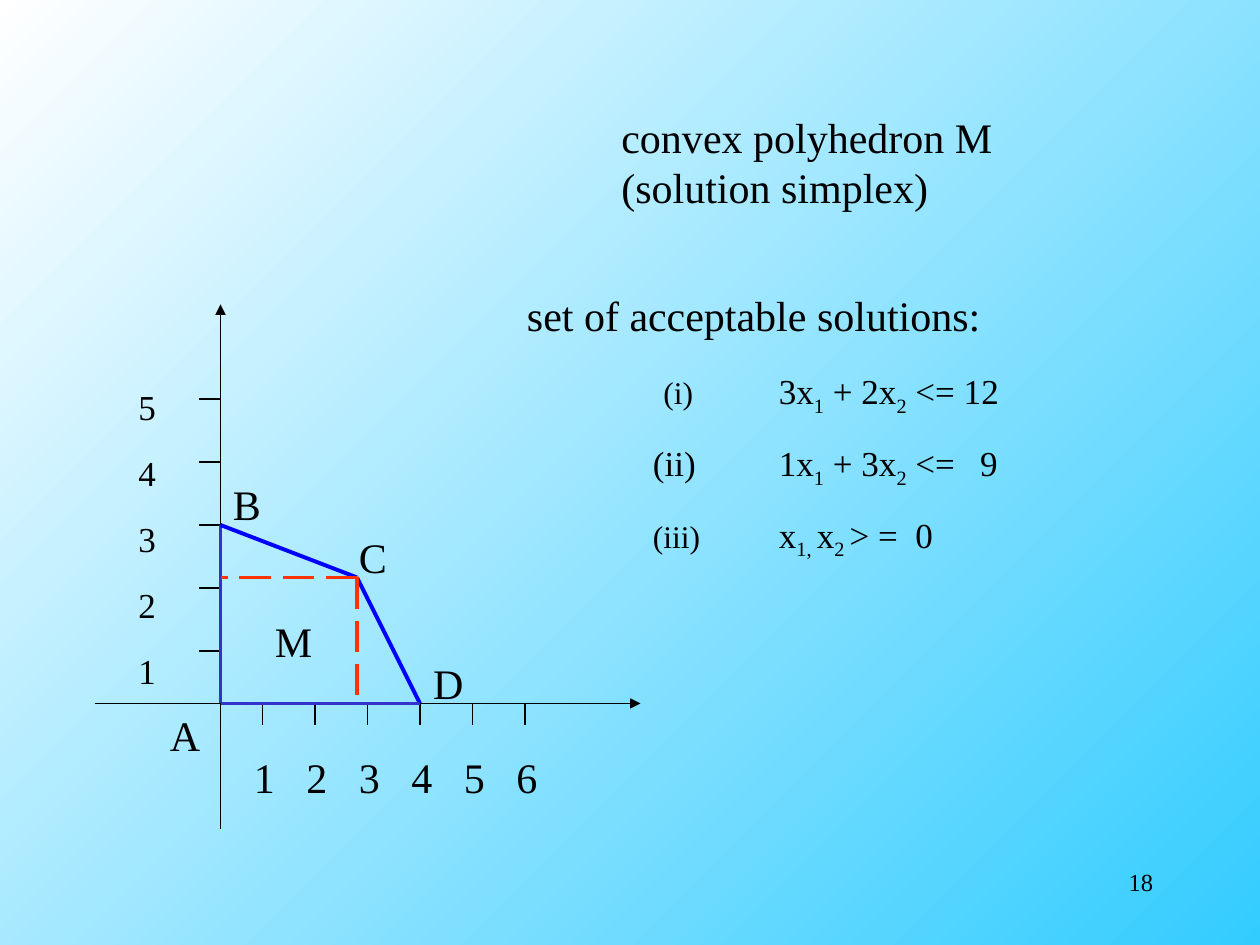
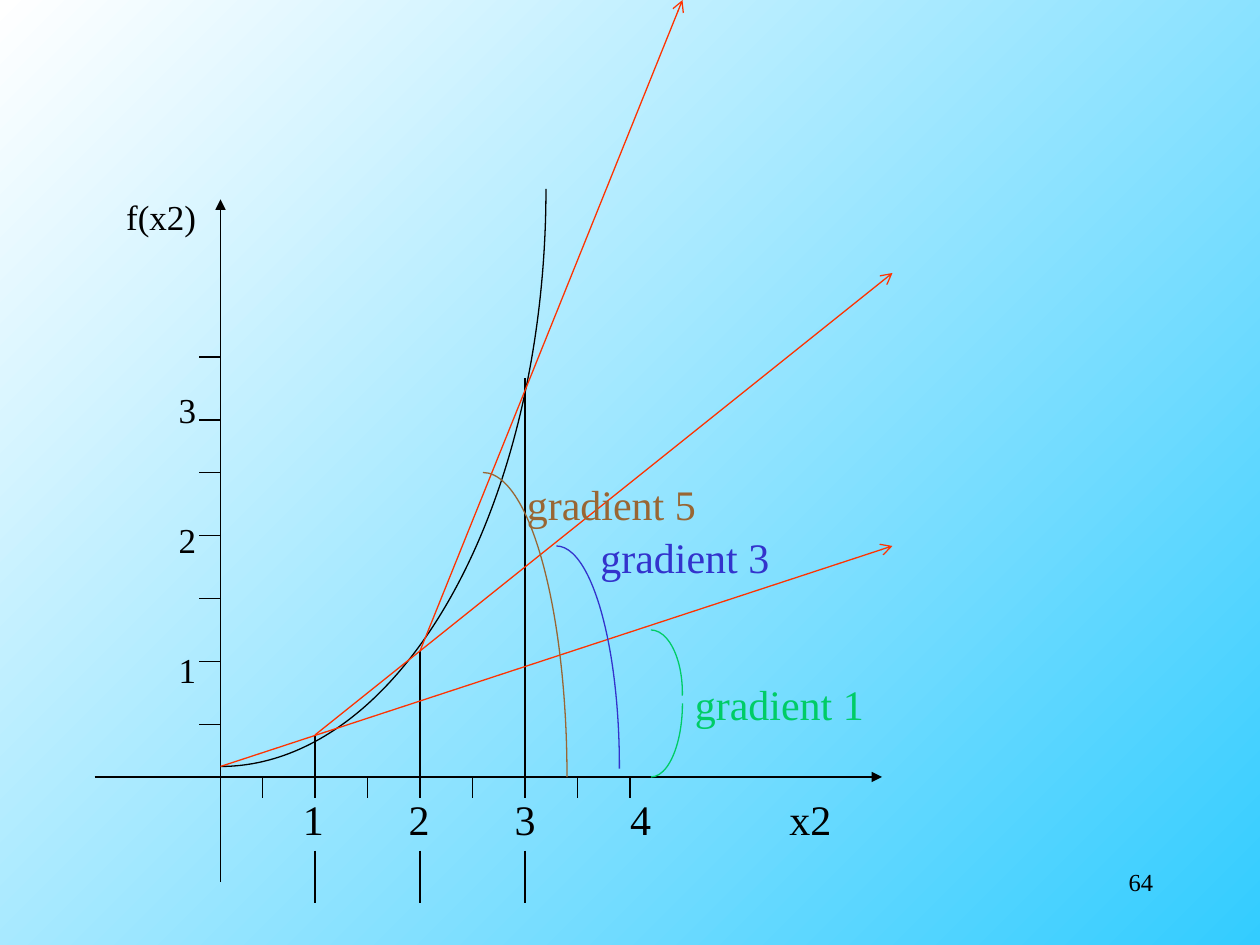
from dataclasses import dataclass

from pptx import Presentation
from pptx.dml.color import RGBColor
from pptx.enum import dml, shapes, text
from pptx.oxml import ns, xmlchemy
from pptx.util import Pt

FONT = "Times New Roman"
BLACK, RED, GREEN, BROWN = "000000", "FF3300", "00CC66", "996633"
BLUE, EDGE_BLUE = "3333CC", "0000FF"
SKY, WHITE = "33CCFF", "FFFFFF"
TICK = 12
LABEL_SIZE, BODY_SIZE, MARK_SIZE = 24, 20, 18
LIST_GAP = 13.6


def color(hex_value):
    return RGBColor.from_string(hex_value)


# Text helpers
def write_runs(paragraph, value, size, hex_color):
    """Write text in which the parts between tildes are subscripts."""
    for index, part in enumerate(value.split("~")):
        if not part:
            continue
        run = paragraph.add_run()
        run.text = part
        run.font.name = FONT
        run.font.size = Pt(size)
        run.font.color.rgb = color(hex_color)
        if index % 2:
            run._r.get_or_add_rPr().set("baseline", "-25000")


def write_text(frame, value, size=LABEL_SIZE, hex_color=BLACK, align=None,
               before=0, tabs=(), mark="", mark_size=BODY_SIZE):
    """Add one paragraph, with an optional mark set in its own size."""
    first = frame.paragraphs[0]
    paragraph = frame.add_paragraph() if first.runs else first
    if tabs:
        tab_list = xmlchemy.OxmlElement("a:tabLst")
        for position in tabs:
            tab = xmlchemy.OxmlElement("a:tab")
            tab.set("pos", str(int(Pt(position))))
            tab.set("algn", "l")
            tab_list.append(tab)
        paragraph._p.get_or_add_pPr().append(tab_list)
    paragraph.alignment = align
    paragraph.space_before = Pt(before)
    write_runs(paragraph, mark, mark_size, hex_color)
    write_runs(paragraph, value, size, hex_color)


def add_frame(slide, left, top, width, height):
    box = slide.shapes.add_textbox(Pt(left), Pt(top), Pt(width), Pt(height))
    frame = box.text_frame
    frame.word_wrap = True
    return frame


def add_page_number(slide, number):
    frame = add_frame(slide, 516, 492, 150, 36)
    write_text(frame, number, size=14, align=text.PP_ALIGN.RIGHT)


# Coordinate plane: positions are measured right of and up from its origin
@dataclass
class Plane:
    slide: object
    x: float
    y: float

    def line(self, start, end, hex_color=BLACK, width=0.75, dash=None, arrow=None):
        connector = self.slide.shapes.add_connector(
            shapes.MSO_CONNECTOR.STRAIGHT,
            Pt(self.x + start[0]), Pt(self.y - start[1]),
            Pt(self.x + end[0]), Pt(self.y - end[1]))
        connector.line.color.rgb = color(hex_color)
        connector.line.width = Pt(width)
        if dash:
            connector.line.dash_style = dash
        properties = connector._element.spPr
        if arrow:
            tail = xmlchemy.OxmlElement("a:tailEnd")
            tail.set("type", arrow)
            properties.find(ns.qn("a:ln")).append(tail)
        properties.append(xmlchemy.OxmlElement("a:effectLst"))

    def arc(self, center, radii, start, end, hex_color=BLACK):
        """Draw part of an ellipse, clockwise between two angles in degrees."""
        left, top = self.x + center[0] - radii[0], self.y - center[1] - radii[1]
        arc = self.slide.shapes.add_shape(
            shapes.MSO_SHAPE.ARC, Pt(left), Pt(top), Pt(2 * radii[0]), Pt(2 * radii[1]))
        arc.adjustments[0], arc.adjustments[1] = start * 0.6, end * 0.6
        arc.fill.background()
        arc.line.color.rgb = color(hex_color)
        arc.line.width = Pt(0.75)
        arc.shadow.inherit = False

    def label(self, right, up, value, width=48, hex_color=BLACK):
        frame = add_frame(self.slide, self.x + right, self.y - up, width, 36)
        write_text(frame, value, hex_color=hex_color)

    def axes(self, right, up, down, x_ticks, y_ticks):
        self.line((0, -down), (0, up), arrow="triangle")
        self.line((-72, 0), (right, 0), arrow="triangle")
        for tick in y_ticks:
            self.line((-TICK, tick), (0, tick))
        for tick in x_ticks:
            self.line((tick, 0), (tick, -TICK))


# Slide 1: polyhedron of acceptable solutions
def draw_polyhedron(slide, x, y):
    plane = Plane(slide, x, y)
    plane.axes(240, 228, 72, range(24, 175, 30), range(30, 175, 36))

    y_numbers = add_frame(slide, x - 54, y - 185, 48, 178)
    for number in "54321":
        write_text(y_numbers, number, size=BODY_SIZE,
                   before=0 if number == "5" else LIST_GAP)
    x_numbers = add_frame(slide, x + 12, y + 24, 216, 36)
    write_text(x_numbers, "\t".join("123456"), tabs=range(30, 151, 30))

    a, b, c, d = (0, 0), (0, 102), (78, 72), (114, 0)
    for start, end, hex_color in ((b, a, BLUE), (b, c, EDGE_BLUE),
                                  (c, d, EDGE_BLUE), (a, d, BLUE)):
        plane.line(start, end, hex_color, 2.25)
    for foot in ((0, c[1]), (c[0], 0)):
        plane.line(c, foot, RED, 2.25, dash=dml.MSO_LINE.LONG_DASH)
    for name, right, up in (("A", -36, 0), ("B", 0, 132), ("C", 72, 102),
                            ("D", 114.4, 30), ("M", 24, 54)):
        plane.label(right, up, name)


def write_constraints(slide, left, top):
    frame = add_frame(slide, left, top, 384, 160)
    write_text(frame, "set of acceptable solutions:")
    rows = (
        ("(i)", MARK_SIZE, "3x~1~ + 2x~2~ <= 12", (78, 144), 17),
        ("(ii)", BODY_SIZE, "1x~1~ + 3x~2~ <=\t9", (72, 144, 259), LIST_GAP),
        ("(iii)", MARK_SIZE, "x~1, ~x~2 ~> =\t0", (72, 144, 222), LIST_GAP),
    )
    for mark, mark_size, formula, tabs, before in rows:
        write_text(frame, formula, size=BODY_SIZE, before=before, tabs=tabs,
                   mark=f"\t{mark}\t", mark_size=mark_size)


def build_polyhedron_slide(slide):
    draw_polyhedron(slide, 126, 402)
    write_text(add_frame(slide, 348, 60, 246, 65),
               "convex polyhedron M (solution simplex)")
    write_constraints(slide, 294, 162)
    add_page_number(slide, "18")


# Slide 2: curve with its piecewise gradients
def write_gradient_axis_labels(slide, x, y):
    y_labels = add_frame(slide, x - 66, y - 336, 59.2, 287)
    for value, before in (("f(x2)", 0), ("3", 86.7), ("2", 50), ("1", 50)):
        write_text(y_labels, value, size=BODY_SIZE, before=before,
                   align=text.PP_ALIGN.RIGHT)
    x_labels = add_frame(slide, x - 36, y + 6, 426, 36)
    write_text(x_labels, "\t1\t2\t3\t4\tx2", tabs=(76, 136.5, 197, 263, 354))


def draw_gradients(slide, x, y):
    plane = Plane(slide, x, y)
    plane.axes(378, 330, 60, range(24, 235, 30), (30, 66, 102, 138, 174, 204, 240))
    write_gradient_axis_labels(slide, x, y)

    # Curve and the values marked on it
    plane.arc((0, 336), (186, 330), 0, 90)
    for right, up in ((54, 24), (114, 72), (174, 228)):
        plane.line((right, 0), (right, up))
        plane.line((right, -42), (right, -72))

    # Secants and the angles they make
    for start, end in (((0, 6), (384, 132)), ((54, 24), (384, 288)),
                       ((114, 72), (264, 444))):
        plane.line(start, end, RED, arrow="arrow")
    for center, radii, start, end, hex_color in (
            ((246, 42), (18, 42), 0, 90, GREEN),
            ((246, 48), (18, 36), 270, 5, GREEN),
            ((192, 6), (36, 126), 270, 2, BLUE),
            ((150, 0), (48, 174), 270, 0, BROWN)):
        plane.arc(center, radii, start, end, hex_color)
    for number, right, up, hex_color in ((1, 264, 60, GREEN), (3, 210, 144, BLUE),
                                         (5, 168, 174, BROWN)):
        plane.label(right, up, f"gradient {number}", 138, hex_color)


def build_gradient_slide(slide):
    draw_gradients(slide, 126, 444)
    add_page_number(slide, "64")


def set_background(master):
    fill = master.background.fill
    fill.gradient()
    fill.gradient_angle = 135
    for stop, hex_color in zip(fill.gradient_stops, (SKY, WHITE)):
        stop.color.rgb = color(hex_color)


def main():
    presentation = Presentation()
    presentation.slide_width, presentation.slide_height = Pt(720), Pt(540)
    set_background(presentation.slide_master)
    blank = presentation.slide_layouts.get_by_name("Blank")
    for build in (build_polyhedron_slide, build_gradient_slide):
        build(presentation.slides.add_slide(blank))
    presentation.save("out.pptx")


if __name__ == "__main__":
    main()
